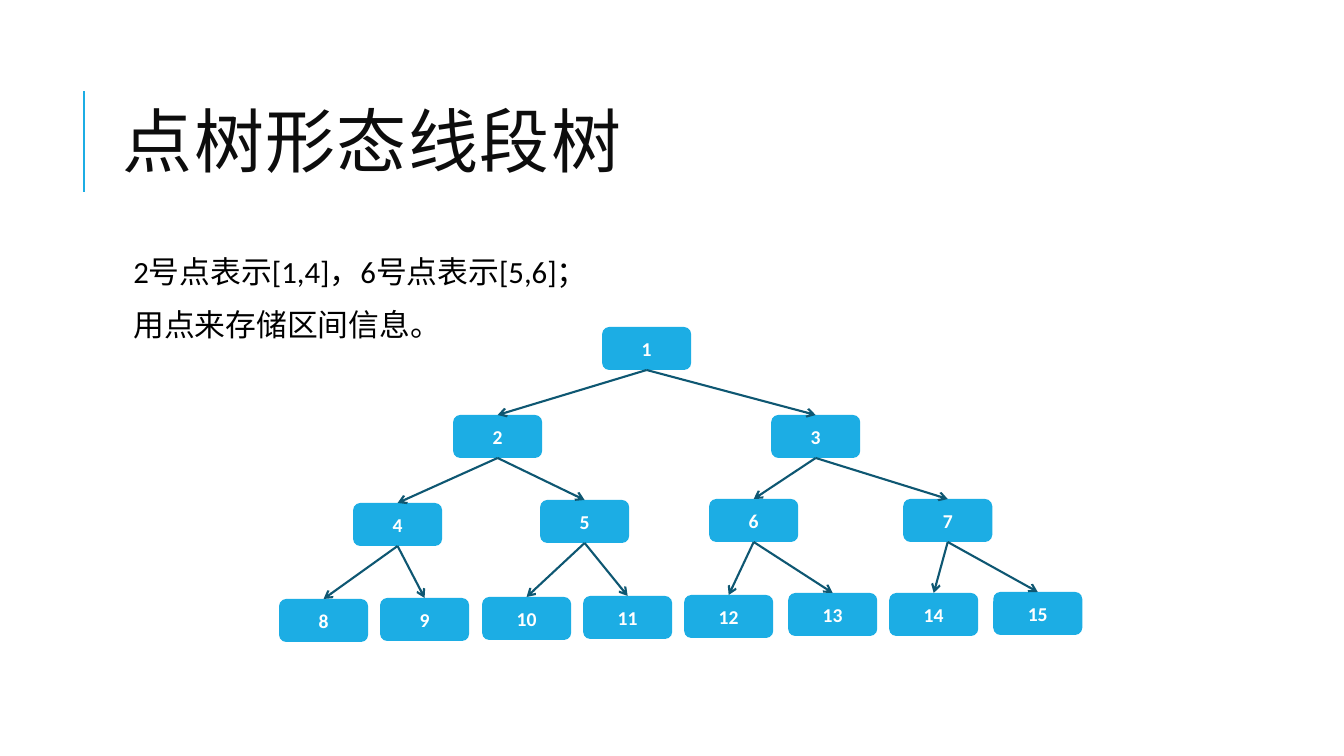
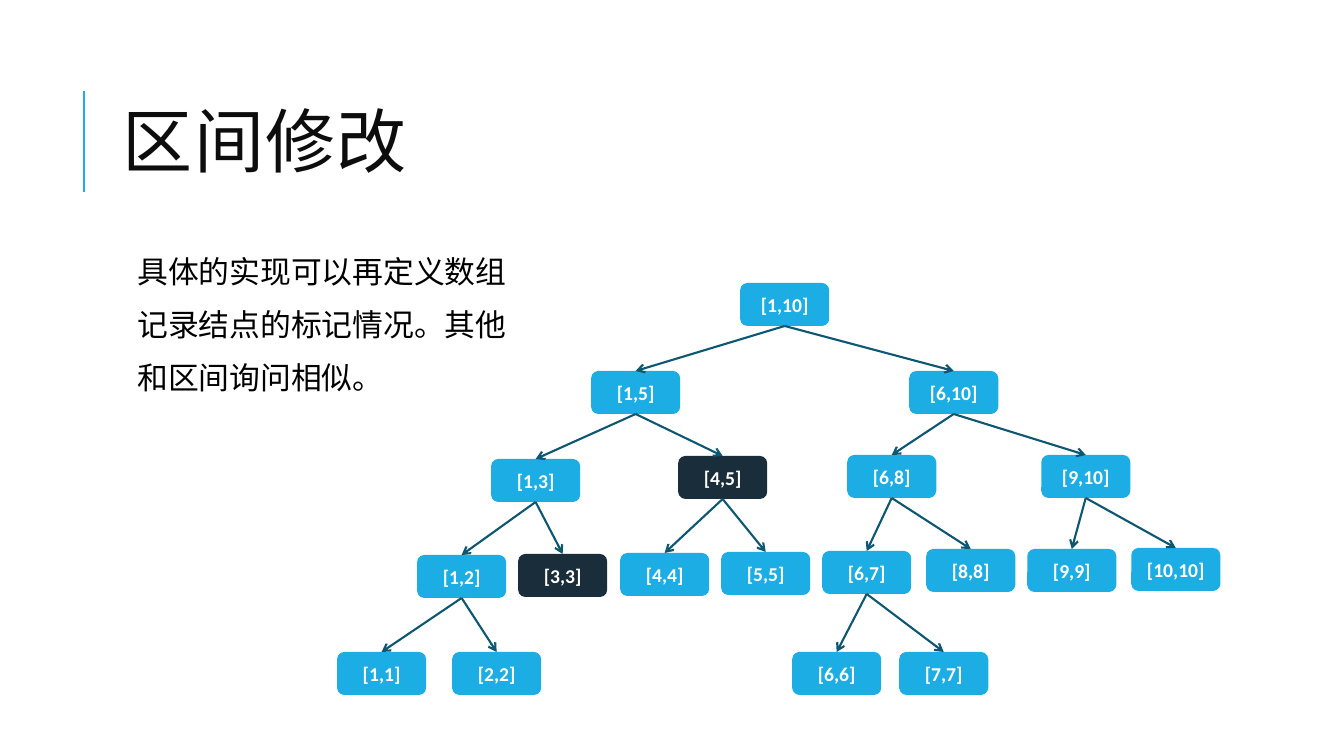
import pptx
import pptx.dml.color
import pptx.enum.lang
import pptx.enum.shapes
import pptx.enum.text
import pptx.oxml.ns
import pptx.util
import lxml.etree

SCALE = 914400 / 100.8
COLORS = {
    "accent": "1CADE4",
    "marked": "1A2D3A",
    "arrow": "0E5772",
    "title": "0D0D0D",
    "body": "000000",
    "label": "FFFFFF",
}
NODE_WIDTH, NODE_HEIGHT = 89, 43
TOP_SITE, BOTTOM_SITE = 0, 2
NODE_PLACES = {
    1: (602, 327),
    2: (453, 415), 3: (771, 415),
    4: (353, 503), 5: (540, 500), 6: (709, 499), 7: (903, 499),
    8: (279, 599), 9: (380, 598), 10: (482, 597), 11: (583, 596),
    12: (684, 595), 13: (788, 593), 14: (889, 593), 15: (993, 592),
    16: (199, 696), 17: (314, 696), 24: (654, 696), 25: (761, 696),
}


def px(length):
    return pptx.util.Emu(round(length * SCALE))


def color(name):
    return pptx.dml.color.RGBColor.from_string(COLORS[name])


def add_xml(parent, tag, **attributes):
    return lxml.etree.SubElement(parent, pptx.oxml.ns.qn(tag), attributes)


class Deck:
    def __init__(self):
        self.presentation = pptx.Presentation()
        self.presentation.slide_width = pptx.util.Inches(13.33)
        self.presentation.slide_height = pptx.util.Inches(7.5)
        self.slide = None

    def start_slide(self, heading):
        self.slide = self.presentation.slides.add_slide(self.presentation.slide_layouts[6])
        self.line("accent", (84, 192), (84, 91))
        self.title(heading)

    def line(self, color_name, start=(0, 0), end=(0, 0)):
        connector = self.slide.shapes.add_connector(
            pptx.enum.shapes.MSO_CONNECTOR.STRAIGHT, *map(px, start + end))
        connector.line.color.rgb = color(color_name)
        connector.line.width = pptx.util.Pt(1.5)
        add_xml(connector._element.spPr, "a:effectLst")
        return connector

    def arrow(self, parent, child):
        branch = self.line("arrow")
        branch.begin_connect(parent, BOTTOM_SITE)
        branch.end_connect(child, TOP_SITE)
        add_xml(branch.line._get_or_add_ln(), "a:tailEnd", type="arrow")

    def run(self, paragraph, text, size, font_name, color_name, bold=False):
        run = paragraph.add_run()
        run.text = text
        run.font.size = pptx.util.Pt(size)
        run.font.name = font_name
        run.font.bold = bold
        run.font.color.rgb = color(color_name)
        run.font.language_id = pptx.enum.lang.MSO_LANGUAGE_ID.SIMPLIFIED_CHINESE
        return run

    def text_frame(self, left, top, width, height):
        frame = self.slide.shapes.add_textbox(*map(px, (left, top, width, height))).text_frame
        frame.word_wrap = True
        return frame

    def title(self, heading):
        frame = self.text_frame(113, 65, 1072, 165)
        frame.vertical_anchor = pptx.enum.text.MSO_ANCHOR.MIDDLE
        paragraph = frame.paragraphs[0]
        paragraph.line_spacing = 0.8
        run = self.run(paragraph, heading, 50, "Cabin", "title")
        run.font._element.set("spc", "100")

    def body(self, left, sentences):
        frame = self.text_frame(left, 252, 1072, 444)
        frame.margin_left = frame.margin_right = px(5)
        frame.margin_top = frame.margin_bottom = px(5)
        for index, sentence in enumerate(sentences):
            paragraph = frame.add_paragraph() if index else frame.paragraphs[0]
            paragraph.line_spacing = 0.9
            paragraph.space_before = pptx.util.Pt(12)
            paragraph.space_after = pptx.util.Pt(2)
            properties = paragraph._p.get_or_add_pPr()
            properties.set("marL", str(px(10)))
            properties.set("indent", str(px(-10)))
            bullet_color = add_xml(properties, "a:buClr")
            add_xml(bullet_color, "a:srgbClr", val=COLORS["accent"])
            add_xml(properties, "a:buChar", char=" ")
            self.run(paragraph, sentence, 22, "Calibri", "body")

    def node(self, label, left, top, fill_name):
        node = self.slide.shapes.add_shape(
            pptx.enum.shapes.MSO_SHAPE.ROUNDED_RECTANGLE,
            *map(px, (left, top, NODE_WIDTH, NODE_HEIGHT)))
        node.shadow.inherit = False
        node.fill.solid()
        node.fill.fore_color.rgb = color(fill_name)
        node.line.fill.background()
        node.text_frame.vertical_anchor = pptx.enum.text.MSO_ANCHOR.MIDDLE
        paragraph = node.text_frame.paragraphs[0]
        paragraph.alignment = pptx.enum.text.PP_ALIGN.CENTER
        self.run(paragraph, label, 14, "Calibri", "label", bold=True)
        return node

    def tree(self, labels, shift=(0, 0), marked=()):
        nodes = {}
        for number, label in labels.items():
            left, top = NODE_PLACES[number]
            fill_name = "marked" if number in marked else "accent"
            nodes[number] = self.node(label, left + shift[0], top + shift[1], fill_name)
        for number, child in nodes.items():
            if number > 1:
                self.arrow(nodes[number // 2], child)


def interval_labels(first, last, number=1):
    labels = {number: f"[{first},{last}]"}
    if first < last:
        middle = (first + last) // 2
        labels.update(interval_labels(first, middle, 2 * number))
        labels.update(interval_labels(middle + 1, last, 2 * number + 1))
    return labels


deck = Deck()

deck.start_slide("点树形态线段树")
deck.body(113, ["2号点表示[1,4]，6号点表示[5,6]；", "用点来存储区间信息。"])
deck.tree({number: str(number) for number in range(1, 16)})

deck.start_slide("区间修改")
deck.body(117, ["具体的实现可以再定义数组", "记录结点的标记情况。其他", "和区间询问相似。"])
deck.tree(interval_labels(1, 10), shift=(138, -44), marked=(5, 9))

deck.presentation.save("out.pptx")
